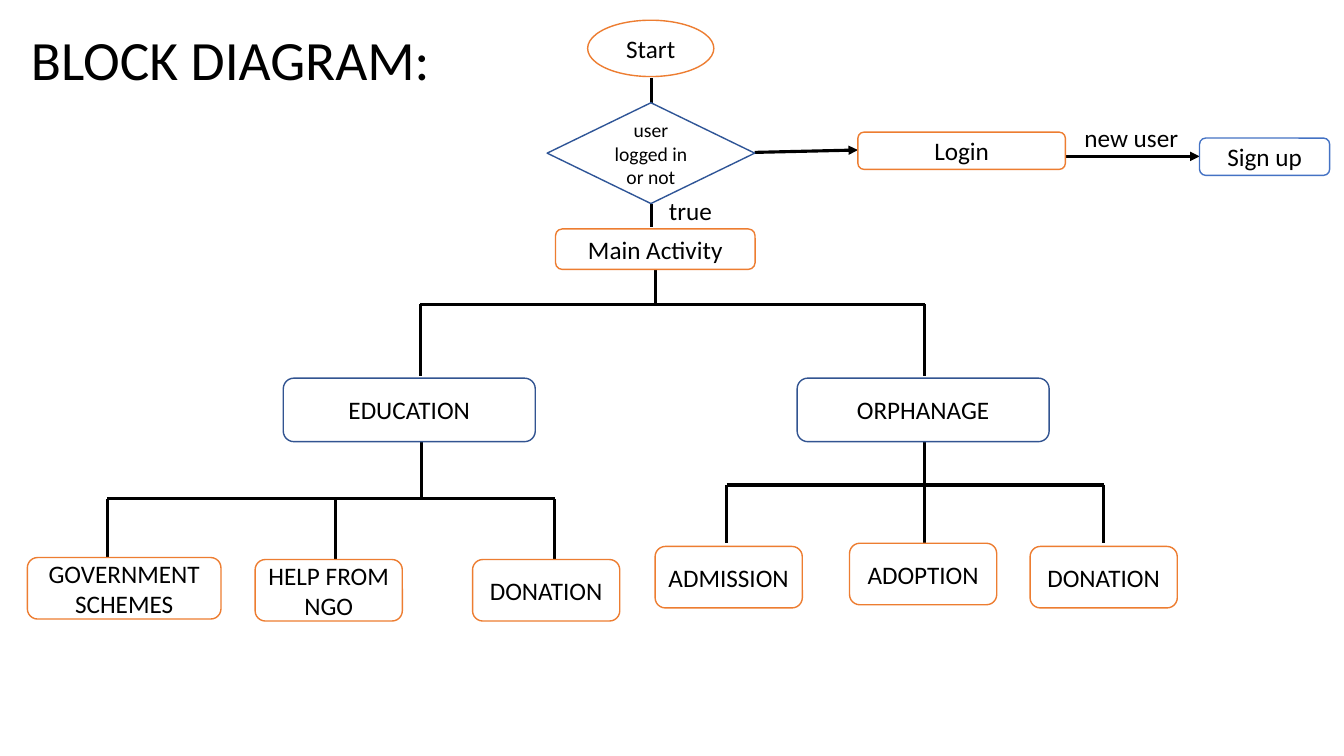
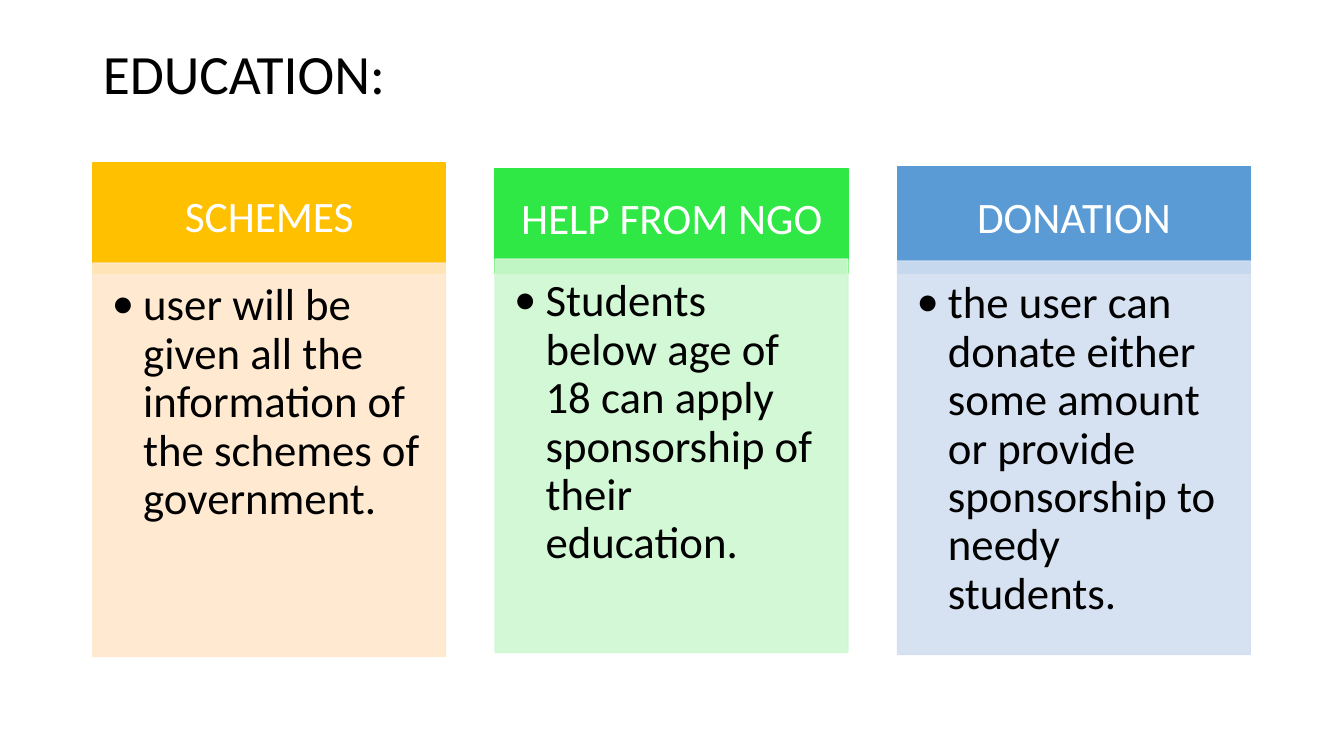
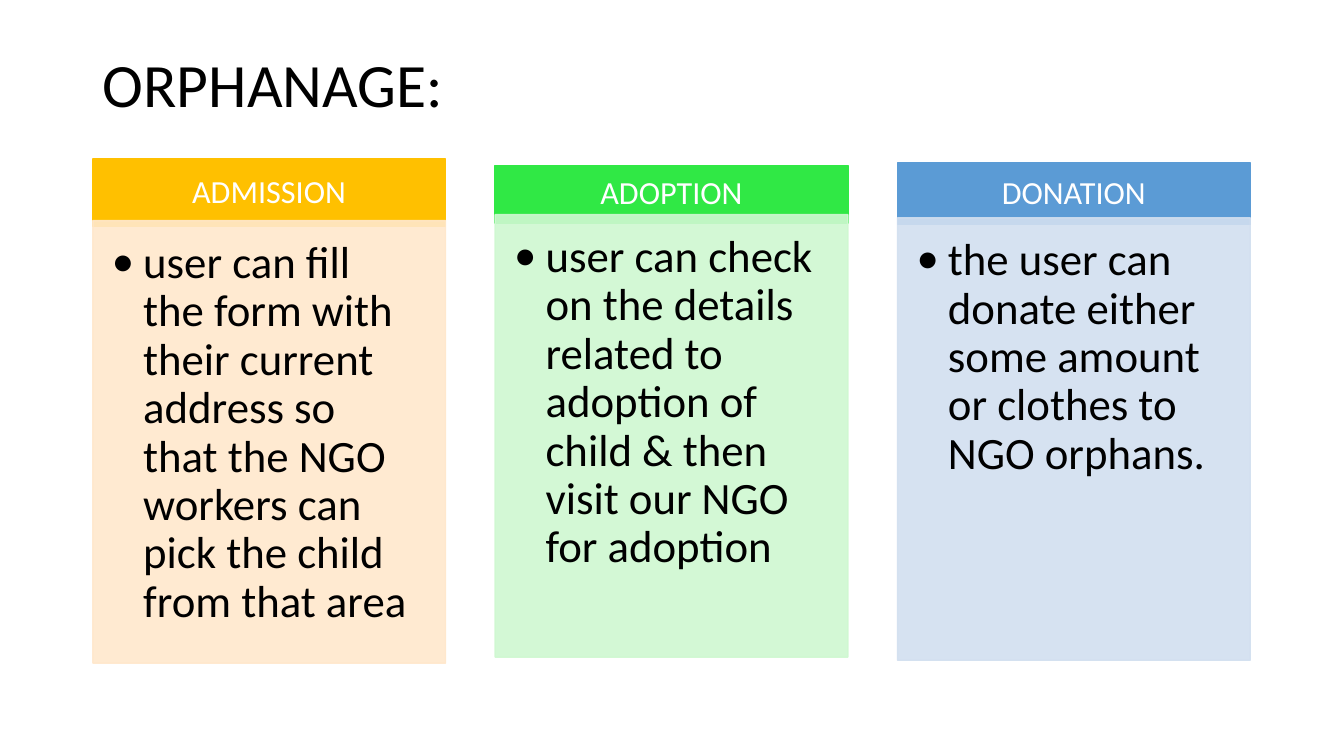
from pptx import Presentation
from pptx.dml.color import RGBColor
from pptx.enum.shapes import MSO_CONNECTOR, MSO_SHAPE
from pptx.enum.text import MSO_ANCHOR, MSO_AUTO_SIZE, PP_ALIGN
from pptx.oxml.ns import qn
from pptx.util import Cm, Pt
from lxml.etree import SubElement

FONT = "Calibri"
INK = {
    "black": "000000", "white": "FFFFFF", "orange": "ED7D31",
    "navy": "2F5597", "slate": "325491", "blue": "4472C4",
    "gold": "FFC000", "cream": "FFE8CC", "green": "30E845",
    "mint": "CFF8D1", "sky": "5B9BD5", "ice": "D2DFF0",
}
ROUND = MSO_SHAPE.ROUNDED_RECTANGLE
INSET = (0.25, 0.13, 0.25, 0.13)

# text, shape, line colour, text size, (left, top, width, height)
NODES = [
    ("Start", MSO_SHAPE.OVAL, "orange", 18, (14.81, 0.51, 3.18, 1.42)),
    ("user logged in or not", MSO_SHAPE.FLOWCHART_DECISION, "navy", 14,
     (13.79, 2.59, 5.23, 2.54)),
    ("Login", ROUND, "orange", 18, (21.62, 3.33, 5.23, 0.94)),
    ("Sign up", ROUND, "blue", 18, (30.23, 3.48, 3.28, 0.94)),
    ("Main Activity", ROUND, "orange", 18, (14, 5.77, 5.03, 1.02)),
    ("EDUCATION", ROUND, "slate", 18, (7.14, 9.53, 6.35, 1.6)),
    ("ORPHANAGE", ROUND, "slate", 18, (20.09, 9.53, 6.35, 1.6)),
    ("GOVERNMENT SCHEMES", ROUND, "orange", 18, (0.69, 14.05, 4.88, 1.55)),
    ("HELP FROM NGO", ROUND, "orange", 18, (6.43, 14.1, 3.71, 1.55)),
    ("DONATION", ROUND, "orange", 18, (11.91, 14.1, 3.71, 1.55)),
    ("ADMISSION", ROUND, "orange", 18, (16.51, 13.77, 3.71, 1.55)),
    ("ADOPTION", ROUND, "orange", 18, (21.41, 13.69, 3.71, 1.55)),
    ("DONATION", ROUND, "orange", 18, (25.96, 13.77, 3.71, 1.55)),
]
LABELS = [
    ("true", (16.61, 4.78, 3.05, 1.02)),
    ("new user", (27.08, 2.95, 3.28, 1.02)),
]
# start, end, arrowhead
LINKS = [
    ((16.41, 1.96), (16.41, 2.59), False),
    ((16.41, 5.13), (16.41, 5.72), False),
    ((19.02, 3.84), (21.62, 3.78), True),
    ((26.85, 3.94), (30.23, 3.94), True),
]
# trunk x, trunk top, bar height, branch ends, branch x positions
TREES = [
    (16.51, 6.81, 7.67, 9.47, (10.59, 23.3)),
    (10.62, 11.07, 12.57, 14.1, (2.7, 8.46, 13.98)),
    (23.3, 11.13, 12.22, 13.69, (18.31, 23.3, 27.81)),
]

PAIRS = [("gold", "cream"), ("green", "mint"), ("sky", "ice")]
LEFT, WIDE, STEP = 2.34, 8.89, 10.14
# cards: heading, text, heading top, heading height, body top
BOARDS = [
    {"title": ("EDUCATION:", 39.6, (2.34, 1.07, 29.21, 1.73)),
     "size": 31, "inset": (0.6, 0.35, 0.6, 0.35), "tall": 9.91,
     "cards": [
         ("SCHEMES", "user will be given all the information of the schemes "
          "of government.", 4.11, 2.79, 6.63),
         ("HELP FROM NGO", "Students below age of 18 can apply sponsorship "
          "of their education.", 4.24, 2.64, 6.53),
         ("DONATION", "the user can donate either some amount or provide "
          "sponsorship to needy students.", 4.19, 2.69, 6.58)]},
    {"title": ("ORPHANAGE:", 44, (2.34, 1.02, 29.21, 2.36)),
     "size": 23, "inset": (0.46, 0.25, 0.46, 0.25), "tall": 11.15,
     "cards": [
         ("ADMISSION", "user can fill the form with their current address "
          "so that the NGO workers can pick the child from that area",
          4.01, 1.7, 5.56),
         ("ADOPTION", "user can check on the details related to adoption "
          "of child & then visit our NGO for adoption", 4.17, 1.45, 5.41),
         ("DONATION", "the user can donate either some amount or clothes to "
          "NGO orphans.", 4.11, 1.55, 5.49)]},
]


def tint(name):
    return RGBColor.from_string(INK[name])


def write(shape, text, size, ink="black", align=PP_ALIGN.CENTER,
          anchor=MSO_ANCHOR.MIDDLE, inset=INSET, gap=1.0, bullet=False):
    frame = shape.text_frame
    frame.text = text
    frame.word_wrap = True
    frame.auto_size = MSO_AUTO_SIZE.NONE
    frame.vertical_anchor = anchor
    (frame.margin_left, frame.margin_top,
     frame.margin_right, frame.margin_bottom) = map(Cm, inset)
    para = frame.paragraphs[0]
    if bullet:
        props = para._p.get_or_add_pPr()
        props.set("marL", str(Cm(0.79)))
        props.set("indent", str(-Cm(0.79)))
        SubElement(props, qn("a:buFont"), typeface=FONT)
        SubElement(props, qn("a:buChar"), char="•")
    para.alignment = align
    para.line_spacing = gap
    font = para.font
    font.name, font.size, font.color.rgb = FONT, Pt(size), tint(ink)


def block(slide, kind, box, fill, edge):
    shape = slide.shapes.add_shape(kind, *map(Cm, box))
    shape.shadow.inherit = False
    shape.fill.solid()
    shape.fill.fore_color.rgb = tint(fill)
    shape.line.color.rgb = tint(edge)
    shape.line.width = Pt(1)
    return shape


def fade(shape, share):
    """Set the opacity of fill and line, in percent."""
    for node in shape._element.spPr.iter(qn("a:srgbClr")):
        SubElement(node, qn("a:alpha"), val=str(share * 1000))


def link(slide, start, end, arrow=False):
    line = slide.shapes.add_connector(
        MSO_CONNECTOR.STRAIGHT, *map(Cm, start + end))
    line.line.color.rgb = tint("black")
    line.line.width = Pt(2.25)
    if arrow:
        SubElement(line.line._get_or_add_ln(), qn("a:tailEnd"),
                   type="triangle")
    SubElement(line._element.spPr, qn("a:effectLst"))


def start(deck, text, size, box):
    """Add a slide with its title."""
    slide = deck.slides.add_slide(deck.slide_layouts[5])
    title = slide.shapes.title
    title.left, title.top, title.width, title.height = map(Cm, box)
    write(title, text, size, align=PP_ALIGN.LEFT, gap=0.9)
    return slide


def chart(deck):
    slide = start(deck, "BLOCK DIAGRAM:", 39.6, (0.53, 0.71, 11.56, 1.73))
    for item in LINKS:
        link(slide, *item)
    for trunk, top, bar, end, stems in TREES:
        link(slide, (trunk, top), (trunk, bar))
        link(slide, (min(stems), bar), (max(stems), bar))
        for stem in stems:
            link(slide, (stem, bar), (stem, end))
    for text, kind, edge, size, box in NODES:
        write(block(slide, kind, box, "white", edge), text, size)
    for text, box in LABELS:
        write(slide.shapes.add_textbox(*map(Cm, box)), text, 18,
              align=PP_ALIGN.LEFT, anchor=MSO_ANCHOR.TOP)


def board(deck, data):
    slide = start(deck, *data["title"])
    for i, (card, pair) in enumerate(zip(data["cards"], PAIRS)):
        name, text, top, high, low = card
        dark, pale = pair
        left = LEFT + i * STEP
        head = block(slide, MSO_SHAPE.RECTANGLE, (left, top, WIDE, high),
                     dark, dark)
        write(head, name, data["size"], "white", inset=data["inset"], gap=0.9)
        body = block(slide, MSO_SHAPE.RECTANGLE,
                     (left, low, WIDE, data["tall"]), pale, pale)
        fade(body, 90)
        write(body, text, 32, align=PP_ALIGN.LEFT, anchor=MSO_ANCHOR.TOP,
              inset=(0.48, 0.48, 0.64, 0.71), gap=0.9, bullet=True)


def main():
    deck = Presentation()
    deck.slide_width, deck.slide_height = Cm(33.87), Cm(19.05)
    chart(deck)
    for data in BOARDS:
        board(deck, data)
    deck.save("out.pptx")


if __name__ == "__main__":
    main()
